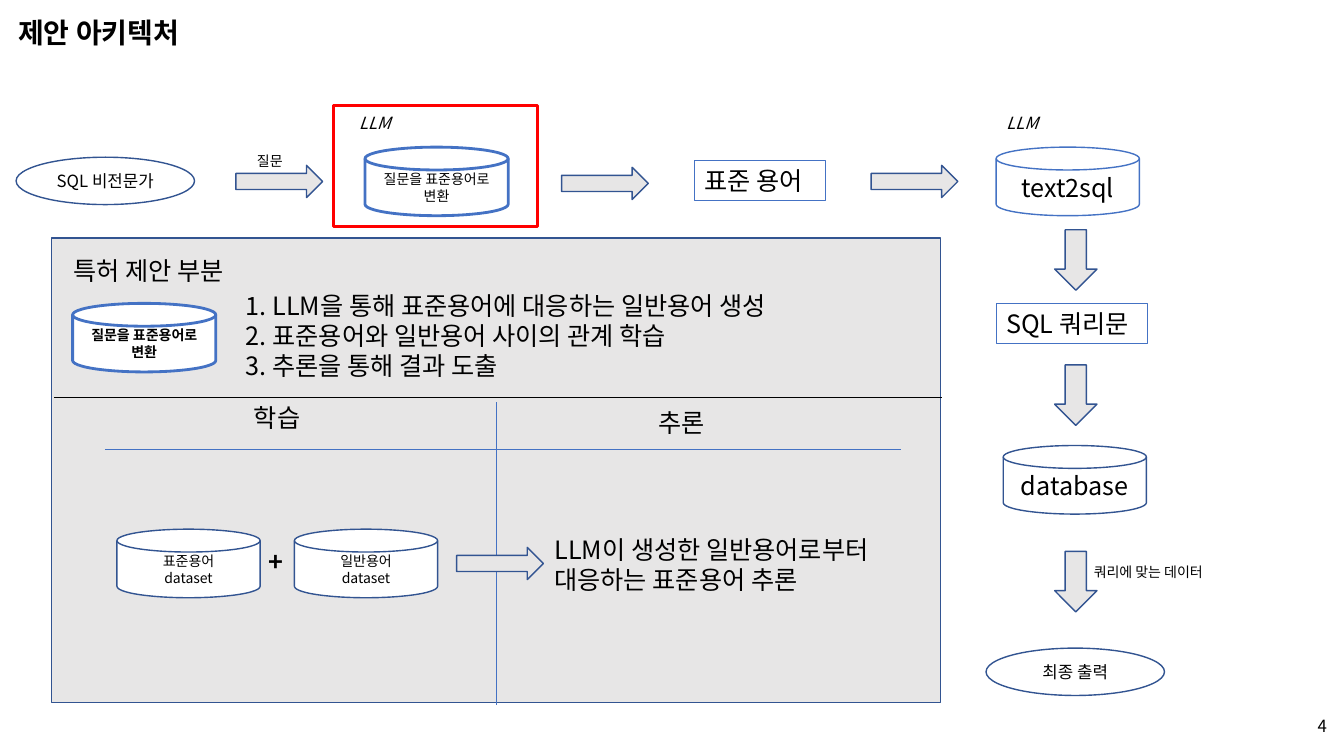
import pptx
import pptx.util
import pptx.dml.color
import pptx.enum.shapes
import pptx.enum.text
import pptx.oxml
import pptx.oxml.ns

Inches = pptx.util.Inches
Pt = pptx.util.Pt
RGBColor = pptx.dml.color.RGBColor
SHAPE = pptx.enum.shapes.MSO_SHAPE
ALIGN = pptx.enum.text.PP_ALIGN
ANCHOR = pptx.enum.text.MSO_ANCHOR
AUTO_SIZE = pptx.enum.text.MSO_AUTO_SIZE

FONT = "Noto Sans CJK KR"
BLACK = RGBColor(0x00, 0x00, 0x00)
WHITE = RGBColor(0xFF, 0xFF, 0xFF)
GRAY = RGBColor(0xE7, 0xE6, 0xE6)
BLUE = RGBColor(0x44, 0x72, 0xC4)
NAVY = RGBColor(0x32, 0x54, 0x91)
RED = RGBColor(0xFF, 0x00, 0x00)

DISK_SIZE = (1.42, 0.68)
ELLIPSE_SIZE = (1.77, 0.47)
RIGHT_SIZE = (0.86, 0.32)
DOWN_SIZE = (0.42, 0.6)

TITLE = "제안 아키텍처"
CONVERT = ["질문을 표준용어로", "변환"]

# lines, left, top, outline colour, outline width, text size, bold
FLOW_DISKS = [
    (CONVERT, 3.62, 1.46, BLUE, 2, 10, False),
    (["text2sql"], 9.88, 1.46, BLUE, 1, 18, False),
    (["database"], 9.95, 4.42, NAVY, 1, 18, False),
]
PANEL_DISKS = [
    (CONVERT, 0.72, 3.01, BLUE, 2, 10, True),
    (["표준용어", "dataset"], 1.16, 5.25, NAVY, 1, 10, False),
    (["일반용어", "dataset"], 2.92, 5.25, NAVY, 1, 10, False),
]
ELLIPSES = [("SQL 비전문가", 0.16, 1.56), ("최종 출력", 9.78, 6.43)]
TERM_BOXES = [("표준 용어", (6.89, 1.59, 1.3, 0.4)), ("SQL 쿼리문", (9.88, 3.01, 1.5, 0.4))]
RIGHT_ARROWS = [(2.34, 1.64), (5.57, 1.66), (8.64, 1.64)]
DOWN_ARROWS = [(10.46, 2.28), (10.46, 3.62), (10.46, 5.47)]
PANEL_ARROW = (4.53, 5.43)
PANEL = (0.51, 2.36, 8.82, 4.61)
HIGHLIGHT = (3.31, 1.05, 2.02, 1.2)

# lines, place, text size, wrap, font style
FLOW_LABELS = [
    (["LLM"], (3.46, 1.07, 0.52, 0.3), 12, False, {"italic": True}),
    (["LLM"], (9.88, 1.07, 0.52, 0.3), 12, False, {"italic": True}),
    (["질문"], (2.45, 1.46, 0.48, 0.27), 10, False, {}),
    (["쿼리에 맞는 데이터"], (10.75, 5.54, 1.47, 0.27), 10, False, {}),
    (["4"], (12.97, 7.05, 0.29, 0.3), 12, False, {}),
]
PANEL_LABELS = [
    (["특허 제안 부분"], (0.63, 2.48, 2.37, 0.4), 18, True, {}),
    (["1. LLM을 통해 표준용어에 대응하는 일반용어 생성",
      "2. 표준용어와 일반용어 사이의 관계 학습",
      "3. 추론을 통해 결과 도출"], (2.34, 2.83, 6.02, 1.01), 18, True, {}),
    (["학습"], (2.42, 3.94, 0.71, 0.4), 18, False, {}),
    (["추론"], (6.43, 3.99, 0.71, 0.4), 18, False, {}),
    (["+"], (2.56, 5.37, 0.38, 0.4), 18, False, {"bold": True}),
    (["LLM이 생성한 일반용어로부터", "대응하는 표준용어 추론"],
     (5.4, 5.25, 3.63, 0.71), 18, False, {}),
]
# start x, start y, end x, end y, colour
DIVIDERS = [
    (0.54, 3.94, 9.34, 3.94, BLACK),
    (4.92, 3.99, 4.92, 6.99, BLUE),
    (1.04, 4.46, 8.94, 4.46, BLUE),
]


def write(frame, lines, size, align=ALIGN.LEFT, bold=False, italic=False):
    for index, line in enumerate(lines):
        para = frame.paragraphs[0] if index == 0 else frame.add_paragraph()
        para.alignment = align
        span = para.add_run()
        span.text = line
        font = span.font
        font.name, font.size = FONT, Pt(size)
        font.bold, font.italic = bold, italic
        font.color.rgb = BLACK
        east_asian = pptx.oxml.parse_xml(
            f'<a:ea {pptx.oxml.ns.nsdecls("a")} typeface="{FONT}"/>')
        font._element.find(pptx.oxml.ns.qn("a:latin")).addnext(east_asian)


def add_outlined(page, kind, place, fill, line, width=1):
    shape = page.shapes.add_shape(kind, *map(Inches, place))
    shape.shadow.inherit = False
    if fill is None:
        shape.fill.background()
    else:
        shape.fill.solid()
        shape.fill.fore_color.rgb = fill
    shape.line.color.rgb = line
    shape.line.width = Pt(width)
    return shape


def add_disk(page, lines, left, top, line, width, size, bold):
    disk = add_outlined(page, SHAPE.FLOWCHART_MAGNETIC_DISK,
                        (left, top, *DISK_SIZE), WHITE, line, width)
    disk.text_frame.vertical_anchor = ANCHOR.MIDDLE
    write(disk.text_frame, lines, size, ALIGN.CENTER, bold)


def add_label(page, lines, place, size, wrap, style):
    box = page.shapes.add_textbox(*map(Inches, place))
    box.text_frame.word_wrap = wrap
    box.text_frame.auto_size = AUTO_SIZE.SHAPE_TO_FIT_TEXT
    write(box.text_frame, lines, size, **style)


def add_divider(page, start_x, start_y, end_x, end_y, color):
    divider = page.shapes.add_connector(
        pptx.enum.shapes.MSO_CONNECTOR.STRAIGHT,
        *map(Inches, (start_x, start_y, end_x, end_y)))
    divider.line.color.rgb = color
    divider.line.width = Pt(0.5)
    divider._element.spPr.append(pptx.oxml.parse_xml(
        f'<a:effectLst {pptx.oxml.ns.nsdecls("a")}/>'))


def add_title(page):
    title = page.shapes.title
    title.left, title.top, title.width, title.height = map(
        Inches, (0.08, 0.1, 2.37, 0.44))
    title.text_frame.vertical_anchor = ANCHOR.TOP
    title.text_frame.word_wrap = True
    title.text_frame.auto_size = AUTO_SIZE.SHAPE_TO_FIT_TEXT
    write(title.text_frame, [TITLE], 20, bold=True)


def add_flow(page):
    for disk in FLOW_DISKS:
        add_disk(page, *disk)
    for text, left, top in ELLIPSES:
        ellipse = add_outlined(page, SHAPE.OVAL, (left, top, *ELLIPSE_SIZE), WHITE, NAVY)
        ellipse.text_frame.vertical_anchor = ANCHOR.MIDDLE
        write(ellipse.text_frame, [text], 12, ALIGN.CENTER)
    for text, place in TERM_BOXES:
        frame = add_outlined(page, SHAPE.RECTANGLE, place, None, BLUE, 0.75).text_frame
        frame.vertical_anchor = ANCHOR.TOP
        frame.word_wrap = False
        frame.auto_size = AUTO_SIZE.SHAPE_TO_FIT_TEXT
        write(frame, [text], 18)
    for corner in RIGHT_ARROWS:
        add_outlined(page, SHAPE.RIGHT_ARROW, (*corner, *RIGHT_SIZE), GRAY, NAVY)
    for corner in DOWN_ARROWS:
        add_outlined(page, SHAPE.DOWN_ARROW, (*corner, *DOWN_SIZE), GRAY, NAVY)
    for label in FLOW_LABELS:
        add_label(page, *label)


def add_panel(page):
    add_outlined(page, SHAPE.RECTANGLE, PANEL, GRAY, NAVY)
    for disk in PANEL_DISKS:
        add_disk(page, *disk)
    for divider in DIVIDERS:
        add_divider(page, *divider)
    add_outlined(page, SHAPE.RIGHT_ARROW, (*PANEL_ARROW, *RIGHT_SIZE), GRAY, NAVY)
    for label in PANEL_LABELS:
        add_label(page, *label)


def main():
    deck = pptx.Presentation()
    deck.slide_width, deck.slide_height = Inches(13.33), Inches(7.5)
    page = deck.slides.add_slide(deck.slide_layouts[5])
    add_title(page)
    add_flow(page)
    add_panel(page)
    add_outlined(page, SHAPE.RECTANGLE, HIGHLIGHT, None, RED, 2)
    deck.save("out.pptx")


if __name__ == "__main__":
    main()
